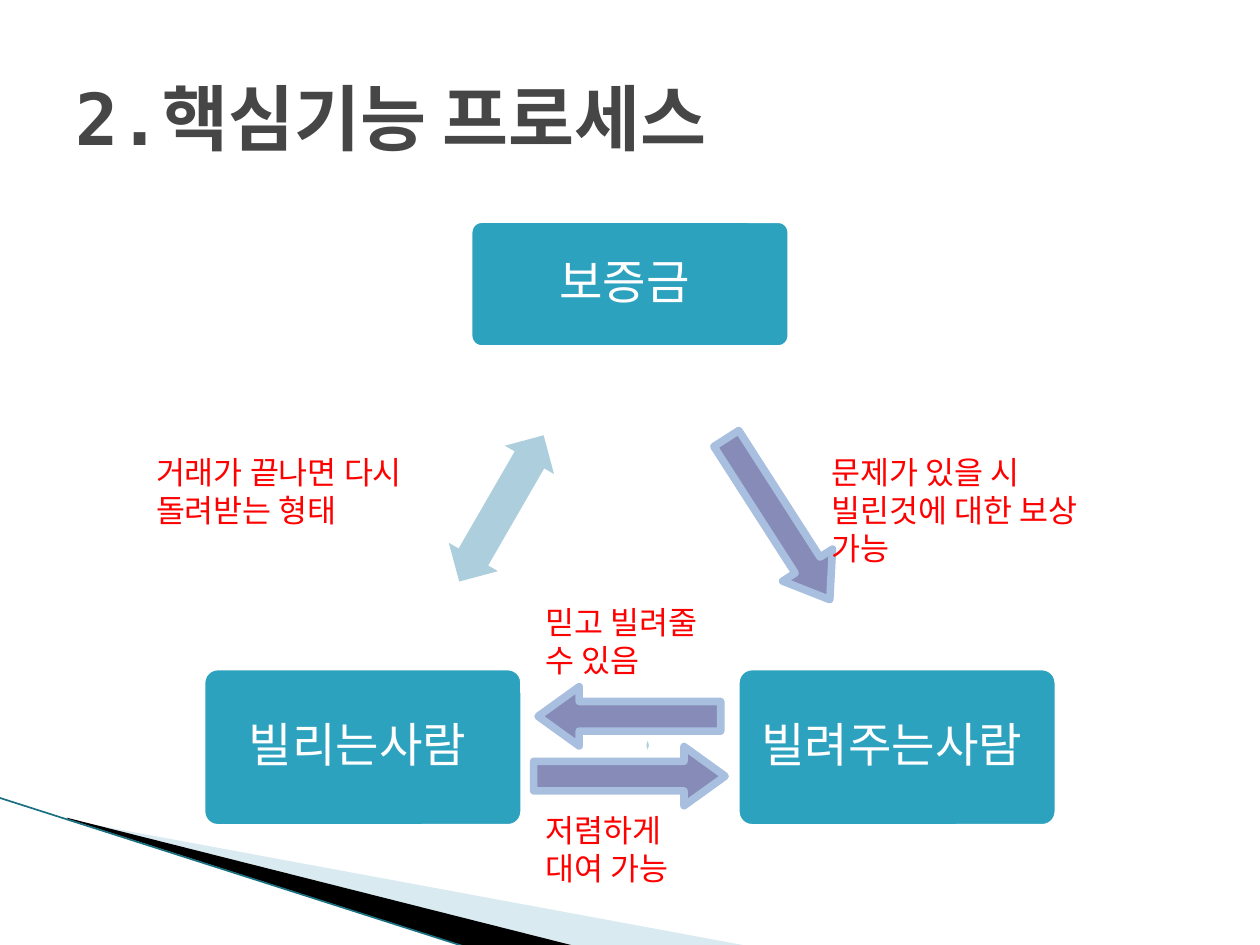
from lxml import etree
from pptx import Presentation, util as u
from pptx.dml.color import RGBColor
from pptx.enum import shapes, text
from pptx.oxml import ns

INK = {
    "title": "464646", "box": "2DA2BF", "white": "FFFFFF", "note": "FF0000",
    "pale": "ADCEDC", "arrow": "878BB8", "edge": "A8BFDF",
    "mist": "A0CBDC", "black": "000000", "rule": "1A7080",
}
FONT = "DejaVu Sans Mono"
KIND = shapes.MSO_SHAPE


class Deck:
    def __init__(self, slide):
        self.slide = slide

    def color(self, name):
        return RGBColor.from_string(INK[name])

    def place(self, item, spot):
        item.left, item.top, item.width, item.height = map(u.Inches, spot)

    def style(self, frame, size, ink, bold=False, align=text.PP_ALIGN.LEFT):
        frame.word_wrap = True
        para = frame.paragraphs[0]
        para.alignment = align
        font = para.font
        font.name, font.size, font.bold = FONT, u.Pt(size), bold
        font.color.rgb = self.color(ink)
        return para

    def paint(self, item, fill, edge=None):
        item.shadow.inherit = False
        item.fill.solid()
        item.fill.fore_color.rgb = self.color(fill)
        if edge:
            item.line.color.rgb = self.color(edge)
            item.line.width = u.Pt(4.33)
            etree.SubElement(item.line._get_or_add_ln(), ns.qn("a:round"))
        else:
            item.line.fill.background()

    def title(self, words, spot):
        item = self.slide.shapes.title
        self.place(item, spot)
        item.text_frame.text = words
        item.text_frame.vertical_anchor = text.MSO_ANCHOR.MIDDLE
        self.style(item.text_frame, 41, "title", True)

    def shape(self, kind, spot, fill, edge=None, adjust=(), turn=0):
        item = self.slide.shapes.add_shape(kind, *map(u.Inches, spot))
        for i, value in enumerate(adjust):
            item.adjustments[i] = value
        item.rotation = turn
        self.paint(item, fill, edge)
        return item

    def box(self, words, spot):
        item = self.shape(KIND.ROUNDED_RECTANGLE, spot, "box", "white", [0.1])
        frame = item.text_frame
        frame.text = words
        frame.vertical_anchor = text.MSO_ANCHOR.MIDDLE
        frame.margin_left = frame.margin_right = u.Inches(0.14)
        frame.margin_top = frame.margin_bottom = u.Inches(0.14)
        para = self.style(frame, 27, "white", align=text.PP_ALIGN.CENTER)
        para.line_spacing = 0.9

    def note(self, words, spot):
        item = self.slide.shapes.add_textbox(*map(u.Inches, spot))
        item.text_frame.text = words
        self.style(item.text_frame, 18, "note")

    def arrow(self, spot, turn):
        self.shape(KIND.UP_ARROW, spot, "arrow", "edge", [0.5, 0.695], turn)

    def double(self, spot, turn):
        self.shape(KIND.LEFT_RIGHT_ARROW, spot, "pale", None, [0.6, 0.5], turn)

    def wedge(self, points, fill, alpha=None):
        start, *rest = [(x * 100, y * 100) for x, y in points]
        path = self.slide.shapes.build_freeform(*start, scale=u.Inches(0.01))
        path.add_line_segments(rest)
        item = path.convert_to_shape()
        self.paint(item, fill)
        if alpha:
            tint = item.fill._xPr.find(".//" + ns.qn("a:srgbClr"))
            etree.SubElement(tint, ns.qn("a:alpha"), val=str(alpha * 1000))

    def rule(self, start, end):
        item = self.slide.shapes.add_connector(
            shapes.MSO_CONNECTOR.STRAIGHT, *map(u.Inches, start + end))
        item.line.color.rgb = self.color("rule")
        item.line.width = u.Pt(0.95)
        etree.SubElement(item._element.spPr, ns.qn("a:effectLst"))


def main():
    show = Presentation()
    show.slide_width, show.slide_height = u.Inches(10), u.Inches(7.5)
    deck = Deck(show.slides.add_slide(show.slide_layouts[5]))

    deck.wedge([(0.55, 6.51), (5.95, 7.51), (4.56, 7.51), (0.55, 6.5)], "mist", 40)
    deck.wedge([(0.53, 6.49), (4.57, 7.51), (3.72, 7.52), (0.54, 6.5)], "black")
    deck.rule((-0.01, 6.33), (3.71, 7.52))
    deck.title("2.핵심기능 프로세스", (0.5, 0.3, 9, 1.25))

    for words, x, y, high in [
        ("보증금 ", 3.72, 1.74, 1.03),
        ("빌려주는사람 ", 5.84, 5.29, 1.28),
        ("빌리는사람 ", 1.6, 5.29, 1.28),
    ]:
        deck.box(words, (x, y, 2.56, high))

    deck.double((5.13, 5.88, 0.02, 0.07), 180)
    deck.double((3.31, 3.81, 1.34, 0.45), 300)

    for x, y, long, turn in [
        (4.76, 5.4, 1.52, 90),
        (5.94, 3.36, 1.52, 147.3),
        (4.76, 4.96, 1.45, 270),
    ]:
        deck.arrow((x, y, 0.47, long), turn)

    for words, x, y, wide in [
        ("믿고 빌려줄 수 있음", 4.23, 4.74, 1.55),
        ("거래가 끝나면 다시 돌려받는 형태", 1.14, 3.55, 2.83),
        ("문제가 있을 시 빌린것에 대한 보상 가능", 6.5, 3.55, 2.6),
        ("저렴하게 대여 가능", 4.23, 6.39, 1.55),
    ]:
        deck.note(words, (x, y, wide, 0.7))

    show.save("out.pptx")


if __name__ == "__main__":
    main()
